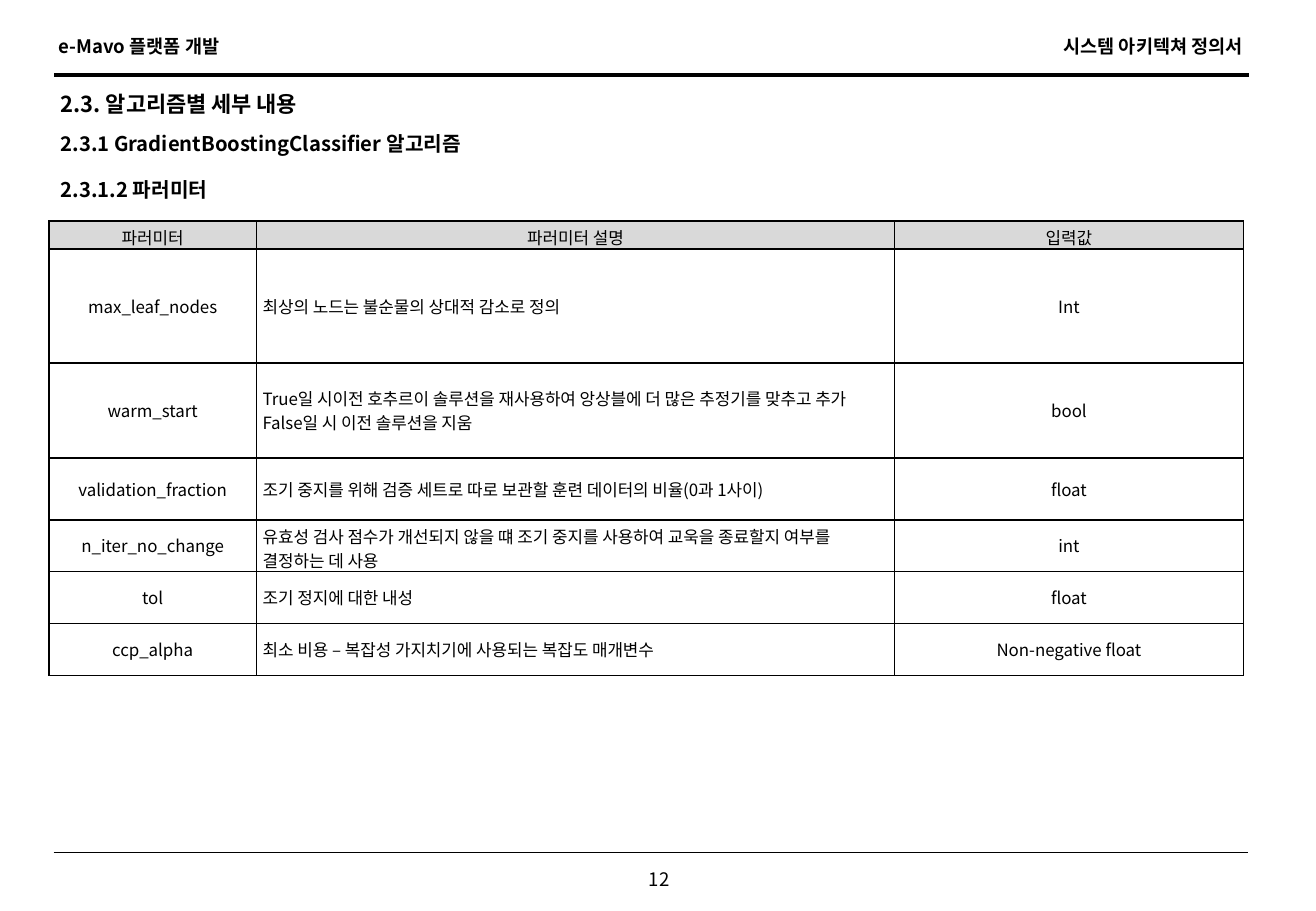
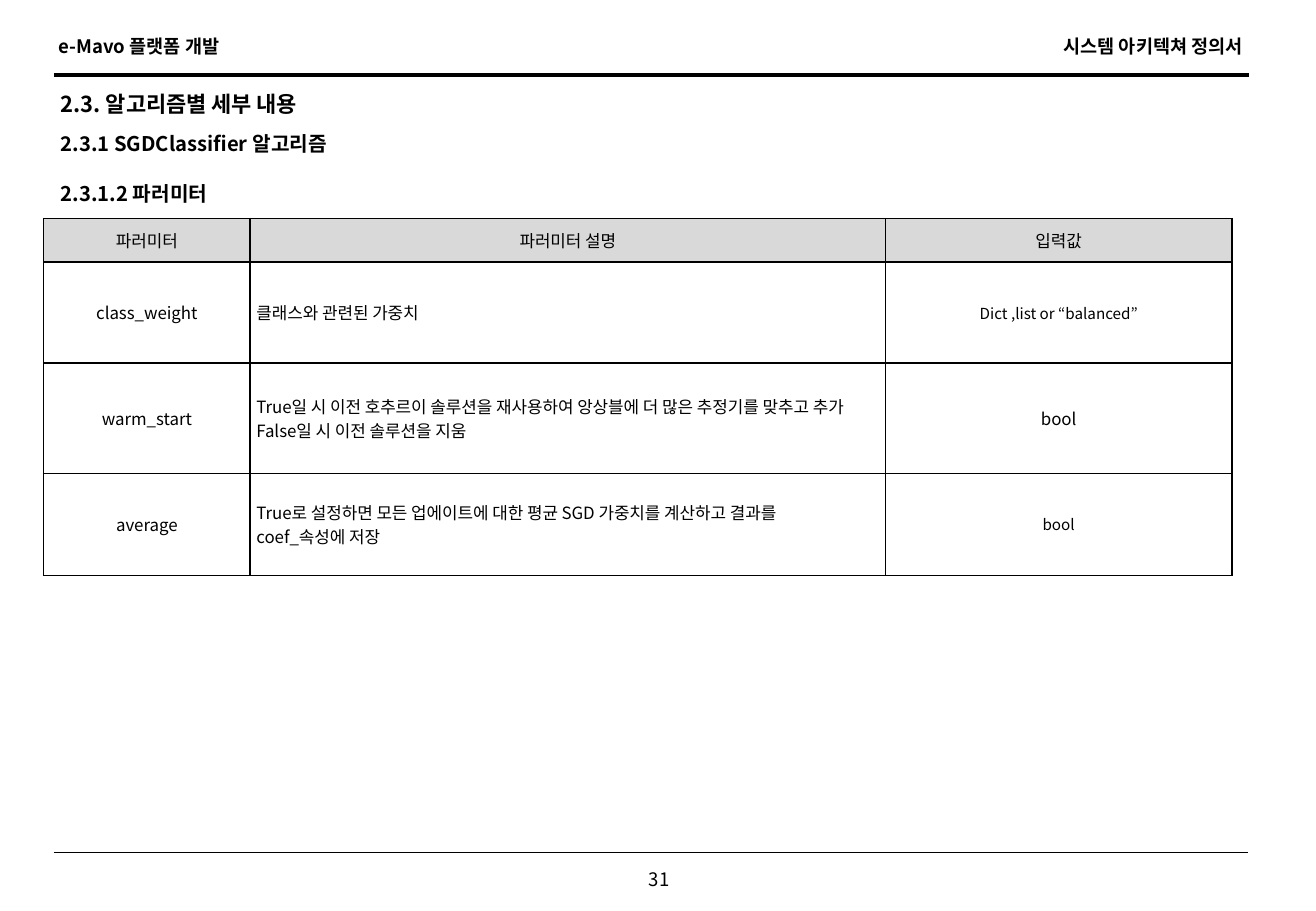
from dataclasses import dataclass

from lxml.etree import SubElement
from pptx import Presentation
from pptx.dml.color import RGBColor
from pptx.enum.shapes import MSO_CONNECTOR
from pptx.enum.text import MSO_ANCHOR, PP_ALIGN
from pptx.oxml import parse_xml
from pptx.oxml.ns import nsdecls, qn
from pptx.util import Cm, Pt


@dataclass(frozen=True)
class Theme:
    font: str = "Noto Sans CJK KR"
    ink: str = "000000"
    paper: str = "FFFFFF"
    head: str = "D9D9D9"
    title: int = 13
    sub: int = 12
    band: int = 11
    body: int = 10
    small: int = 9
    rule: float = 2.75
    thin: float = 0.75
    grid: int = 1


THEME = Theme()
LEFT, WIDE, HIGH = 1.02, 24.77, 1.04
COLUMNS = ("파러미터", "파러미터 설명", "입력값")


def style(frame, size, bold=False, align=PP_ALIGN.LEFT):
    for para in frame.paragraphs:
        para.alignment = align
        for run in para.runs:
            font = run.font
            font.size, font.bold, font.name = Pt(size), bold, THEME.font
            font.color.rgb = RGBColor.from_string(THEME.ink)
            SubElement(font._element, qn("a:ea"), typeface=THEME.font)


def add_text(slide, text, box, size, bold=True, align=PP_ALIGN.LEFT,
             anchor=MSO_ANCHOR.TOP):
    frame = slide.shapes.add_textbox(*map(Cm, box)).text_frame
    frame.word_wrap = True
    frame.vertical_anchor = anchor
    frame.text = text
    style(frame, size, bold, align)


def add_rule(slide, left, top, width):
    line = slide.shapes.add_connector(
        MSO_CONNECTOR.STRAIGHT, Cm(left), Cm(top), Cm(left + 24.97), Cm(top))
    line.line.color.rgb = RGBColor.from_string(THEME.ink)
    line.line.width = Pt(width)
    SubElement(line._element.spPr, qn("a:effectLst"))


def add_frame(slide, page):
    """Add the header, footer and rules that every page carries."""
    add_rule(slide, 1.12, 17.83, THEME.thin)
    add_rule(slide, 1.14, 1.57, THEME.rule)
    add_text(slide, "e-Mavo 플랫폼 개발", (0.97, 0.61, 8, 0.74), THEME.band)
    add_text(slide, "시스템 아키텍쳐 정의서", (18.24, 0.61, 8, 0.74),
             THEME.band, align=PP_ALIGN.RIGHT)
    add_text(slide, str(page), (12.78, 18.03, 2, 0.74), THEME.band,
             bold=False, align=PP_ALIGN.CENTER)


def set_title(slide, text):
    title = slide.shapes.title
    title.left, title.top, title.width, title.height = map(
        Cm, (LEFT, 1.65, WIDE, HIGH))
    frame = title.text_frame
    frame.text = text
    frame.vertical_anchor = MSO_ANCHOR.MIDDLE
    style(frame, THEME.title, True)


def add_head(slide, text, top):
    add_text(slide, text, (LEFT, top, WIDE, HIGH), THEME.sub,
             anchor=MSO_ANCHOR.MIDDLE)


def set_edges(cell):
    props = cell._tc.get_or_add_tcPr()
    for side in "LRTB":
        props.append(parse_xml(
            f'<a:ln{side} {nsdecls("a")} w="{Pt(THEME.grid)}"><a:solidFill>'
            f'<a:srgbClr val="{THEME.ink}"/></a:solidFill></a:ln{side}>'))


def fill_cell(cell, text, size, color, align):
    cell.text_frame.text = text
    cell.vertical_anchor = MSO_ANCHOR.MIDDLE
    cell.margin_left = cell.margin_right = Cm(0.13)
    cell.margin_top = cell.margin_bottom = Cm(0.08)
    set_edges(cell)
    cell.fill.solid()
    cell.fill.fore_color.rgb = RGBColor.from_string(color)
    style(cell.text_frame, size, align=align)


def add_grid(slide, spot, widths, heights, rows, small=()):
    """Add a parameter table; small lists the (row, column) of smaller text."""
    rows = [COLUMNS, *rows]
    box = (*spot, sum(widths), sum(heights))
    table = slide.shapes.add_table(
        len(rows), len(widths), *map(Cm, box)).table
    table.first_row = table.horz_banding = False
    for col, width in zip(table.columns, widths):
        col.width = Cm(width)
    for r, (row, height) in enumerate(zip(rows, heights)):
        table.rows[r].height = Cm(height)
        for c, text in enumerate(row):
            fill_cell(table.cell(r, c), text,
                      THEME.small if (r, c) in small else THEME.body,
                      THEME.paper if r else THEME.head,
                      PP_ALIGN.LEFT if r and c == 1 else PP_ALIGN.CENTER)


def add_page(deck, page, model, top):
    slide = deck.slides.add_slide(deck.slide_layouts[5])
    add_frame(slide, page)
    set_title(slide, "2.3. 알고리즘별 세부 내용")
    add_head(slide, f"2.3.1 {model} 알고리즘", 2.49)
    add_head(slide, "2.3.1.2 파러미터", top)
    return slide


def main():
    deck = Presentation()
    deck.slide_width, deck.slide_height = Cm(27.51), Cm(19.05)

    boost = add_page(deck, 12, "GradientBoostingClassifier", 3.45)
    add_grid(boost, (1.02, 4.62), (4.34, 13.34, 7.29),
             (0.56, 2.39, 1.98, 1.3, 1.07, 1.09, 1.09), [
        ("max_leaf_nodes", "최상의 노드는 불순물의 상대적 감소로 정의", "Int"),
        ("warm_start",
         "True일 시이전 호추르이 솔루션을 재사용하여 앙상블에 더 많은 추정기를 맞추고 추가\n"
         "False일 시 이전 솔루션을 지움", "bool"),
        ("validation_fraction",
         "조기 중지를 위해 검증 세트로 따로 보관할 훈련 데이터의 비율(0과 1사이)",
         "float"),
        ("n_iter_no_change",
         "유효성 검사 점수가 개선되지 않을 떄 조기 중지를 사용하여 "
         "교욱을 종료할지 여부를 결정하는 데 사용", "int"),
        ("tol", "조기 정지에 대한 내성", "float"),
        ("ccp_alpha", "최소 비용 – 복잡성 가지치기에 사용되는 복잡도 매개변수",
         "Non-negative float"),
    ])

    linear = add_page(deck, 31, "SGDClassifier", 3.53)
    add_grid(linear, (0.91, 4.57), (4.32, 13.28, 7.24),
             (0.91, 2.11, 2.31, 2.13), [
        ("class_weight", "클래스와 관련된 가중치", "Dict ,list or “balanced”"),
        ("warm_start",
         "True일 시 이전 호추르이 솔루션을 재사용하여 앙상블에 더 많은 추정기를 맞추고 추가\n"
         "False일 시 이전 솔루션을 지움", "bool"),
        ("average",
         "True로 설정하면 모든 업에이트에 대한 평균 SGD 가중치를 계산하고 결과를\n"
         "coef_속성에 저장", "bool"),
    ], small={(1, 2), (3, 2)})

    deck.save("out.pptx")


if __name__ == "__main__":
    main()
